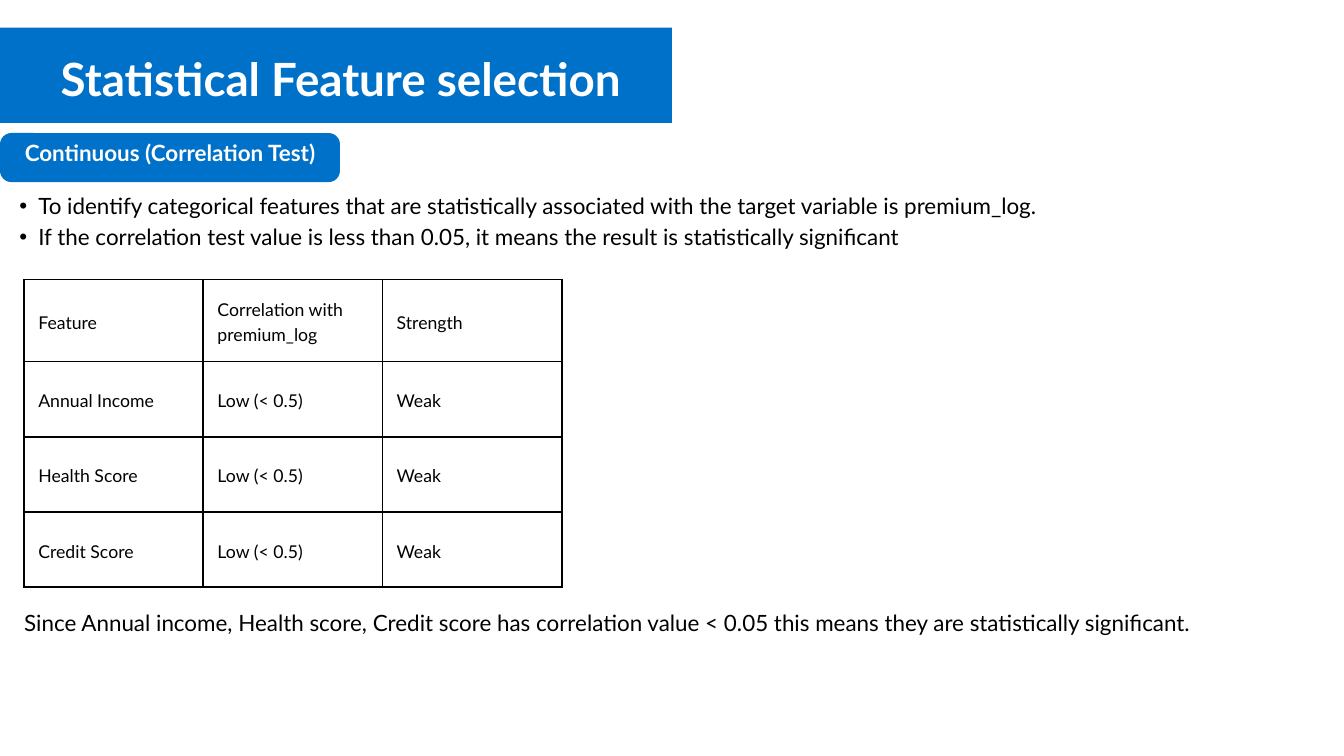
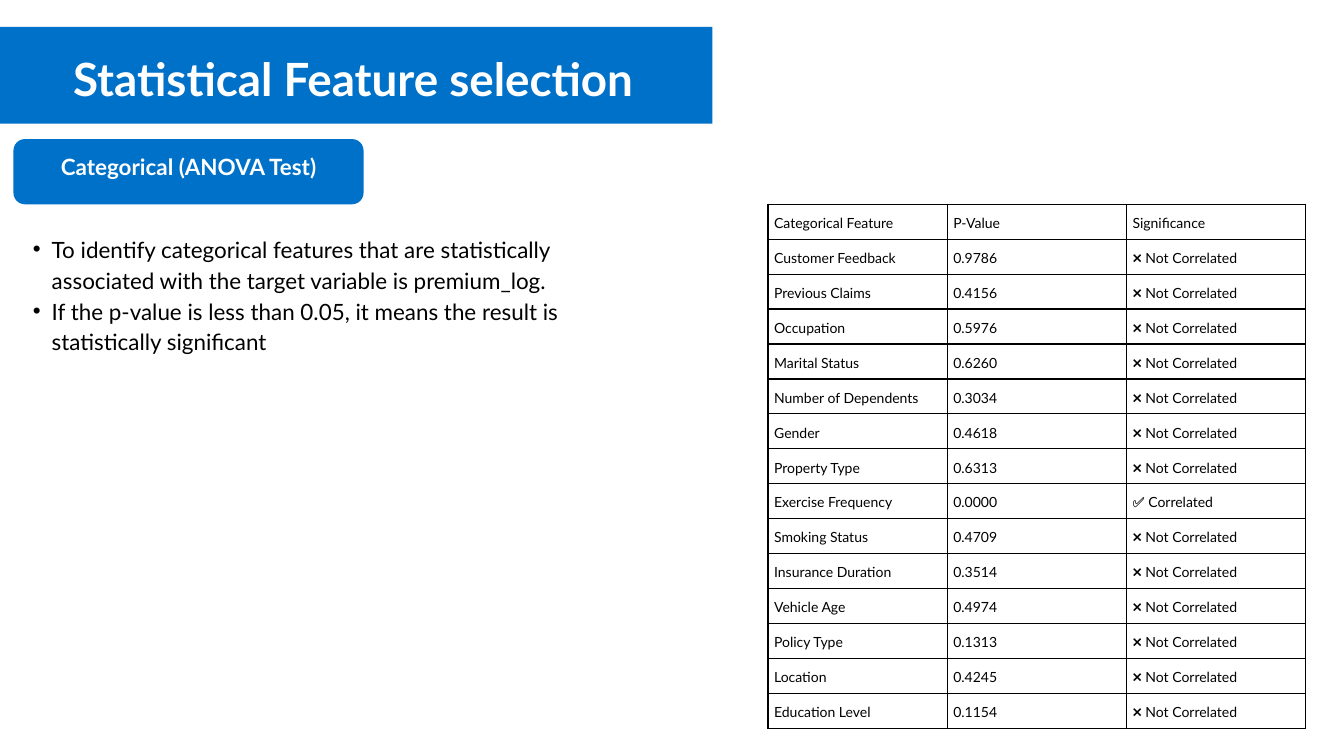
"""Build two slides on statistical feature selection for premium prediction."""
import pptx
import pptx.dml.color
import pptx.enum.shapes
import pptx.enum.text
import pptx.oxml.ns
import pptx.util
from lxml import etree

Inches, Pt = pptx.util.Inches, pptx.util.Pt
RGBColor = pptx.dml.color.RGBColor
MSO_SHAPE = pptx.enum.shapes.MSO_SHAPE
MIDDLE = pptx.enum.text.MSO_ANCHOR.MIDDLE
CENTER = pptx.enum.text.PP_ALIGN.CENTER

BLUE = RGBColor(0x00, 0x71, 0xC9)
WHITE = RGBColor(0xFF, 0xFF, 0xFF)
BLACK = RGBColor(0x00, 0x00, 0x00)
FONT = "Lato"

TITLE = "Statistical Feature selection"
GOAL = ("To identify categorical features that are statistically associated "
        "with the target variable is premium_log.")
P_VALUES = [
    ("Customer Feedback", "0.9786"), ("Previous Claims", "0.4156"),
    ("Occupation", "0.5976"), ("Marital Status", "0.6260"),
    ("Number of Dependents", "0.3034"), ("Gender", "0.4618"),
    ("Property Type", "0.6313"), ("Exercise Frequency", "0.0000"),
    ("Smoking Status", "0.4709"), ("Insurance Duration", "0.3514"),
    ("Vehicle Age", "0.4974"), ("Policy Type", "0.1313"),
    ("Location", "0.4245"), ("Education Level", "0.1154"),
]


def verdict(p_value):
    return "✅ Correlated" if float(p_value) < 0.05 else "❌ Not Correlated"


SLIDES = [
    {
        "band": (0, 0.41, 10, 1.42),
        "title_width": 10.14,
        "test": "Continuous (Correlation Test)",
        "test_box": (0, 1.98, 5.06, 0.73),
        "points": [GOAL, "If the correlation test value is less than 0.05, it means "
                         "the result is statistically significant"],
        "points_box": (0, 2.8, 17.05, 1.37),
        "rows": [("Feature", "Correlation with premium_log", "Strength")]
                + [(feature, "Low (< 0.5)", "Weak")
                   for feature in ("Annual Income", "Health Score", "Credit Score")],
        "table": {"at": (0.36, 4.16), "heights": (1.22, 1.12), "inset": 0.21,
                  "size": 18.9, "spacing": 26.4, "border": 2.25},
        "conclusion": "Since Annual income, Health score, Credit score has correlation "
                      "value < 0.05 this means they are statistically significant.",
    },
    {
        "band": (0, 0.4, 10.6, 1.44),
        "title_width": 10.51,
        "test": "Categorical (ANOVA Test)",
        "test_box": (0.2, 2.07, 5.21, 0.97),
        "points": [GOAL, "If the p-value is less than 0.05, it means the result is "
                         "statistically significant"],
        "points_box": (0.2, 3.45, 8.62, 1.83),
        "rows": [("Categorical Feature", "P-Value", "Significance")]
                + [(feature, p, verdict(p)) for feature, p in P_VALUES],
        "table": {"at": (11.43, 3.04), "heights": (0.52, 0.52), "inset": 0.09,
                  "size": 15, "spacing": 21, "border": 1.5},
    },
]
TABLE_WIDTH = 8
CORNER_RADIUS = 0.17
LABEL_RISE = 0.2


def style(paragraph, size, spacing, color=BLACK, bold=False):
    paragraph.line_spacing = Pt(spacing)
    font = paragraph.font
    font.name, font.size, font.bold = FONT, Pt(size), bold
    font.color.rgb = color


def set_insets(holder, inset):
    for side in ("left", "top", "right", "bottom"):
        setattr(holder, f"margin_{side}", Inches(inset))


def add_block(slide, kind, box):
    block = slide.shapes.add_shape(kind, *map(Inches, box))
    block.shadow.inherit = False
    block.fill.solid()
    block.fill.fore_color.rgb = BLUE
    block.line.fill.background()
    return block


def add_text(slide, box, lines, size, spacing, color=BLACK, heading=False,
             bulleted=False, inset=0):
    frame = slide.shapes.add_textbox(*map(Inches, box)).text_frame
    frame.word_wrap = True
    set_insets(frame, inset)
    frame.text = "\n".join(lines)
    for paragraph in frame.paragraphs:
        if bulleted:
            paragraph.level = 1
            props = paragraph._p.get_or_add_pPr()
            props.set("marL", str(Inches(0.57)))
            props.set("indent", str(-Inches(0.28)))
            etree.SubElement(props, pptx.oxml.ns.qn("a:buFont"), typeface="Arial")
            etree.SubElement(props, pptx.oxml.ns.qn("a:buChar"), char="•")
        if heading:
            paragraph.alignment = CENTER
        style(paragraph, size, spacing, color, heading)
    return frame


def add_borders(cell, width):
    props = cell._tc.get_or_add_tcPr()
    for position, side in enumerate(("lnL", "lnR", "lnT", "lnB")):
        line = etree.Element(pptx.oxml.ns.qn(f"a:{side}"), w=str(Pt(width)))
        fill = etree.SubElement(line, pptx.oxml.ns.qn("a:solidFill"))
        etree.SubElement(fill, pptx.oxml.ns.qn("a:srgbClr"), val=str(BLACK))
        props.insert(position, line)


def add_results(slide, rows, at, heights, inset, size, spacing, border):
    header_height, row_height = heights
    total_height = header_height + row_height * (len(rows) - 1)
    columns = len(rows[0])
    results = slide.shapes.add_table(
        len(rows), columns, *map(Inches, (*at, TABLE_WIDTH, total_height))).table
    results.first_row = results.horz_banding = False
    for column in results.columns:
        column.width = Inches(TABLE_WIDTH / columns)
    for r, values in enumerate(rows):
        results.rows[r].height = Inches(row_height if r else header_height)
        for c, value in enumerate(values):
            cell = results.cell(r, c)
            cell.text = value
            cell.vertical_anchor = MIDDLE
            set_insets(cell, inset)
            cell.fill.background()
            add_borders(cell, border)
            style(cell.text_frame.paragraphs[0], size, spacing)


def add_test_label(slide, name, box):
    left, top, width, height = box
    label = add_block(slide, MSO_SHAPE.ROUNDED_RECTANGLE, box)
    label.adjustments[0] = CORNER_RADIUS / height
    text_box = (left, top - LABEL_RISE, width, height + LABEL_RISE)
    frame = add_text(slide, text_box, [name], 24, 33.1, WHITE, heading=True, inset=0.06)
    frame.vertical_anchor = MIDDLE


def main():
    deck = pptx.Presentation()
    deck.slide_width, deck.slide_height = Inches(20), Inches(11.25)
    for content in SLIDES:
        slide = deck.slides.add_slide(deck.slide_layouts[6])
        add_block(slide, MSO_SHAPE.RECTANGLE, content["band"])
        add_test_label(slide, content["test"], content["test_box"])
        add_results(slide, content["rows"], **content["table"])
        add_text(slide, content["points_box"], content["points"], 24, 33.1, bulleted=True)
        if "conclusion" in content:
            add_text(slide, (0.36, 9, 19.38, 0.45), [content["conclusion"]], 24, 33.1)
        add_text(slide, (0, 0.63, content["title_width"], 0.9), [TITLE], 49, 67.6,
                 WHITE, heading=True)
    deck.save("out.pptx")


if __name__ == "__main__":
    main()
